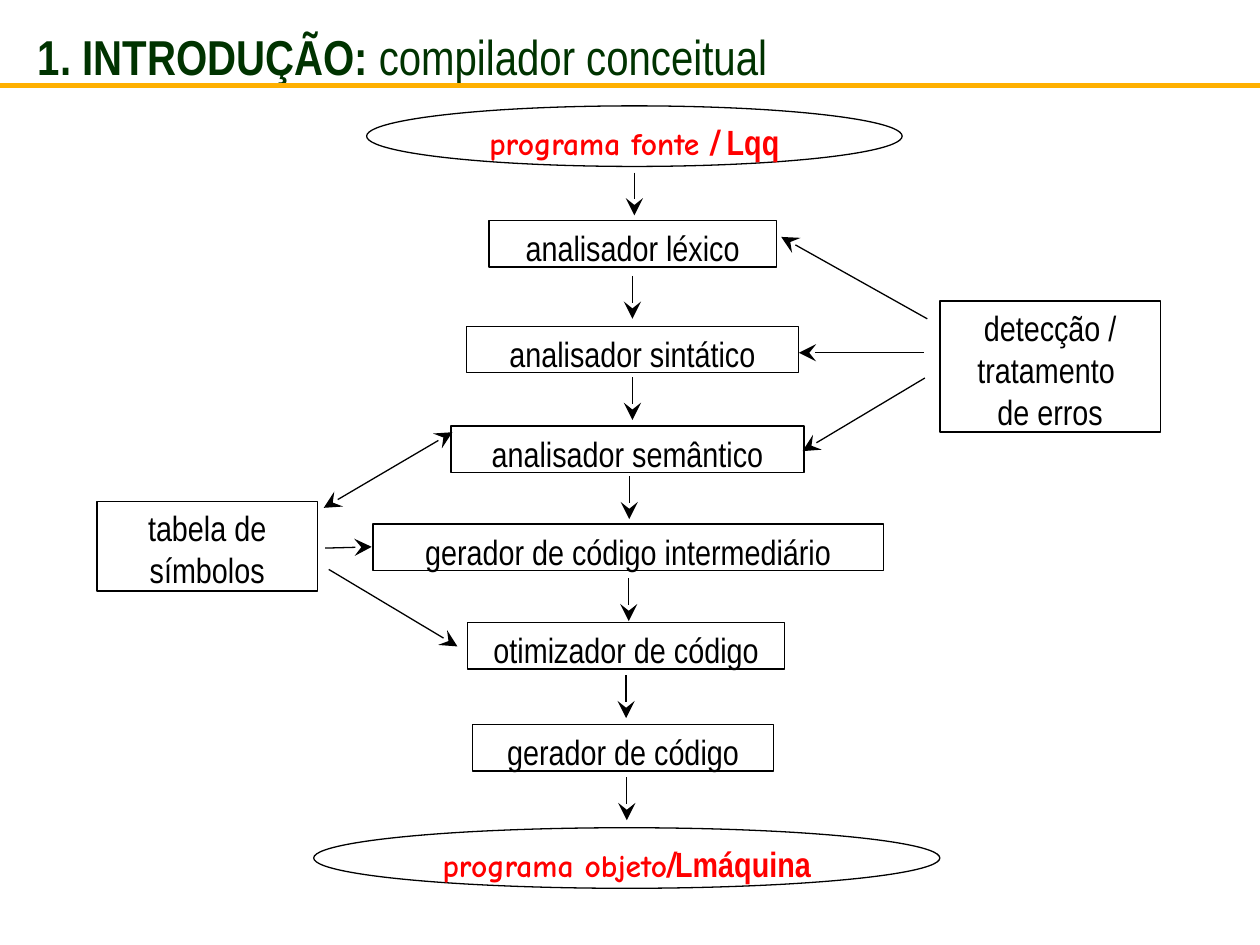
"""Build the slide showing the phases of a conceptual compiler."""
from lxml import etree
from pptx import Presentation
from pptx.dml.color import RGBColor
from pptx.enum import shapes, text
from pptx.oxml import ns
from pptx.util import Pt

BLACK = RGBColor(0, 0, 0)
RED = RGBColor(255, 0, 0)
GREEN = RGBColor(0, 51, 0)
AMBER = RGBColor(255, 176, 0)
NARROW, COMIC = "Arial Narrow", "Comic Neue"

HEADING = dict(name=NARROW, size=Pt(28), bold=True)
PLAIN = dict(name=NARROW, size=Pt(20))
PROGRAM = dict(name=COMIC, size=Pt(18), bold=True)
LANGUAGE = dict(name=NARROW, size=Pt(20), bold=True)
SLASH = dict(LANGUAGE, italic=True)

TITLE = [("1. INTRODUÇÃO: ", HEADING),
         ("compilador conceitual", dict(HEADING, bold=False))]

PHASE_HEIGHT = 26.6
PHASES = [
    ("analisador léxico", 279.4, 126, 164.2),
    ("analisador sintático", 266.4, 186.5, 190),
    ("analisador semântico", 257.8, 243.4, 201.6),
    ("gerador de código intermediário", 213.1, 299.5, 291.6),
    ("otimizador de código", 267.1, 355.7, 181.4),
    ("gerador de código", 270, 414, 172.1),
]
PROGRAM_HEIGHT = 34.6
PROGRAMS = [
    ([("programa fonte ", PROGRAM), ("/ ", SLASH), ("Lqq", LANGUAGE)], 209.5, 60.5, 306),
    ([("programa objeto", PROGRAM), ("/", SLASH), ("Lmáquina", LANGUAGE)], 179.3, 473, 357.8),
]
HELPERS = [
    (["detecção / tratamento ", "de erros"], (537.1, 172.1, 126, 74.9)),
    (["tabela de símbolos"], (55.4, 286.6, 126, 51.1)),
]

FLOW_LENGTH = 24.5
FLOW_STARTS = [(362.5, 98.6), (361.4, 157.7), (361.4, 215.5), (359.6, 272.2),
               (359.3, 330.5), (357.8, 385.9), (358.2, 444.2)]
ERROR_ARROWS = [
    (529.9, 182.2, 446.4, 135.4),
    (527.8, 201.6, 456.5, 201.6),
    (528.5, 216, 458.6, 257.8),
]
SYMBOL_ARROWS = [
    (185.8, 313.2, 212.4, 312.5),
    (187.9, 325.4, 261.4, 369.4),
]
SYMBOL_EXCHANGE = (185, 290.2, 258.5, 247)


def write(para, spans, color):
    for words, style in spans:
        span = para.add_run()
        span.text = words
        span.font.color.rgb = color
        for key, value in style.items():
            setattr(span.font, key, value)


def add_box(page, kind, bounds, paragraphs, color=BLACK, inset=None):
    box = page.shapes.add_shape(kind, *map(Pt, bounds))
    box.shadow.inherit = False
    box.fill.background()
    box.line.color.rgb = BLACK
    box.line.width = Pt(0.75)
    frame = box.text_frame
    frame.word_wrap = True
    frame.vertical_anchor = text.MSO_ANCHOR.TOP
    if inset is not None:
        for side in ("left", "top", "right", "bottom"):
            setattr(frame, "margin_" + side, Pt(inset))
    for index, spans in enumerate(paragraphs):
        para = frame.add_paragraph() if index else frame.paragraphs[0]
        para.alignment = text.PP_ALIGN.CENTER
        write(para, spans, color)


def add_line(page, ends, color=BLACK, width=0.75, heads=("tailEnd",)):
    line = page.shapes.add_connector(shapes.MSO_CONNECTOR.STRAIGHT, *map(Pt, ends))
    line.line.color.rgb = color
    line.line.width = Pt(width)
    stroke = line.line._get_or_add_ln()
    for head in heads:
        etree.SubElement(stroke, ns.qn("a:" + head), type="stealth", w="lg", len="lg")
    etree.SubElement(line._element.spPr, ns.qn("a:effectLst"))


deck = Presentation()
deck.slide_width, deck.slide_height = Pt(720), Pt(540)
page = deck.slides.add_slide(deck.slide_layouts[5])

title = page.shapes.title
title.left, title.top, title.width, title.height = map(Pt, (14.4, 7.9, 690.5, 48.2))
title.text_frame.vertical_anchor = text.MSO_ANCHOR.MIDDLE
title_para = title.text_frame.paragraphs[0]
title_para.alignment = text.PP_ALIGN.LEFT
write(title_para, TITLE, GREEN)
add_line(page, (0, 49, 720, 49), AMBER, 3, ())

for spans, left, top, width in PROGRAMS:
    add_box(page, shapes.MSO_SHAPE.OVAL, (left, top, width, PROGRAM_HEIGHT), [spans], RED)
for words, left, top, width in PHASES:
    add_box(page, shapes.MSO_SHAPE.RECTANGLE, (left, top, width, PHASE_HEIGHT),
            [[(words, PLAIN)]])
for lines, bounds in HELPERS:
    add_box(page, shapes.MSO_SHAPE.RECTANGLE, bounds,
            [[(words, PLAIN)] for words in lines], inset=2.9)

flow_arrows = [(x, y, x, y + FLOW_LENGTH) for x, y in FLOW_STARTS]
for ends in flow_arrows + ERROR_ARROWS + SYMBOL_ARROWS:
    add_line(page, ends)
add_line(page, SYMBOL_EXCHANGE, heads=("headEnd", "tailEnd"))

deck.save("out.pptx")
